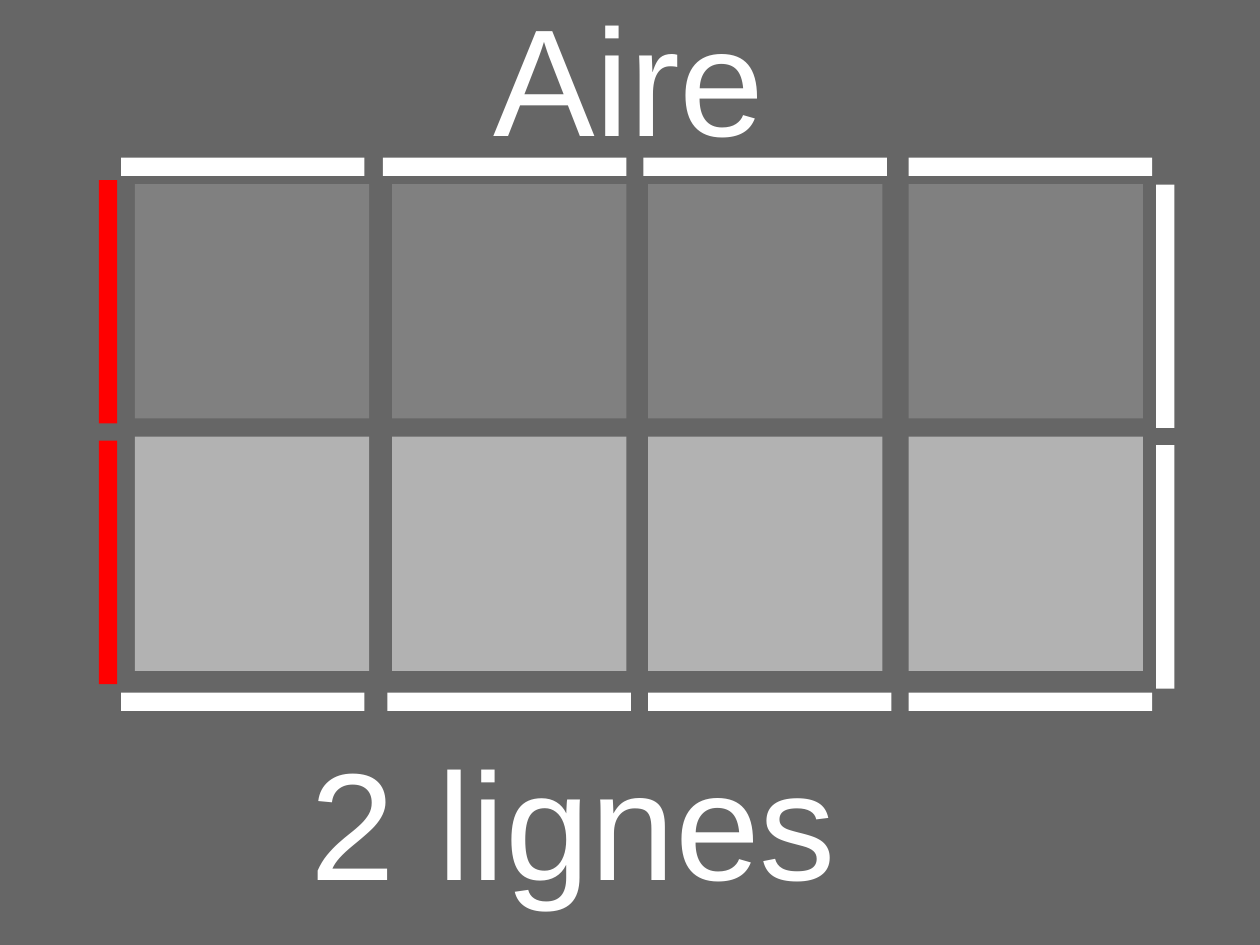
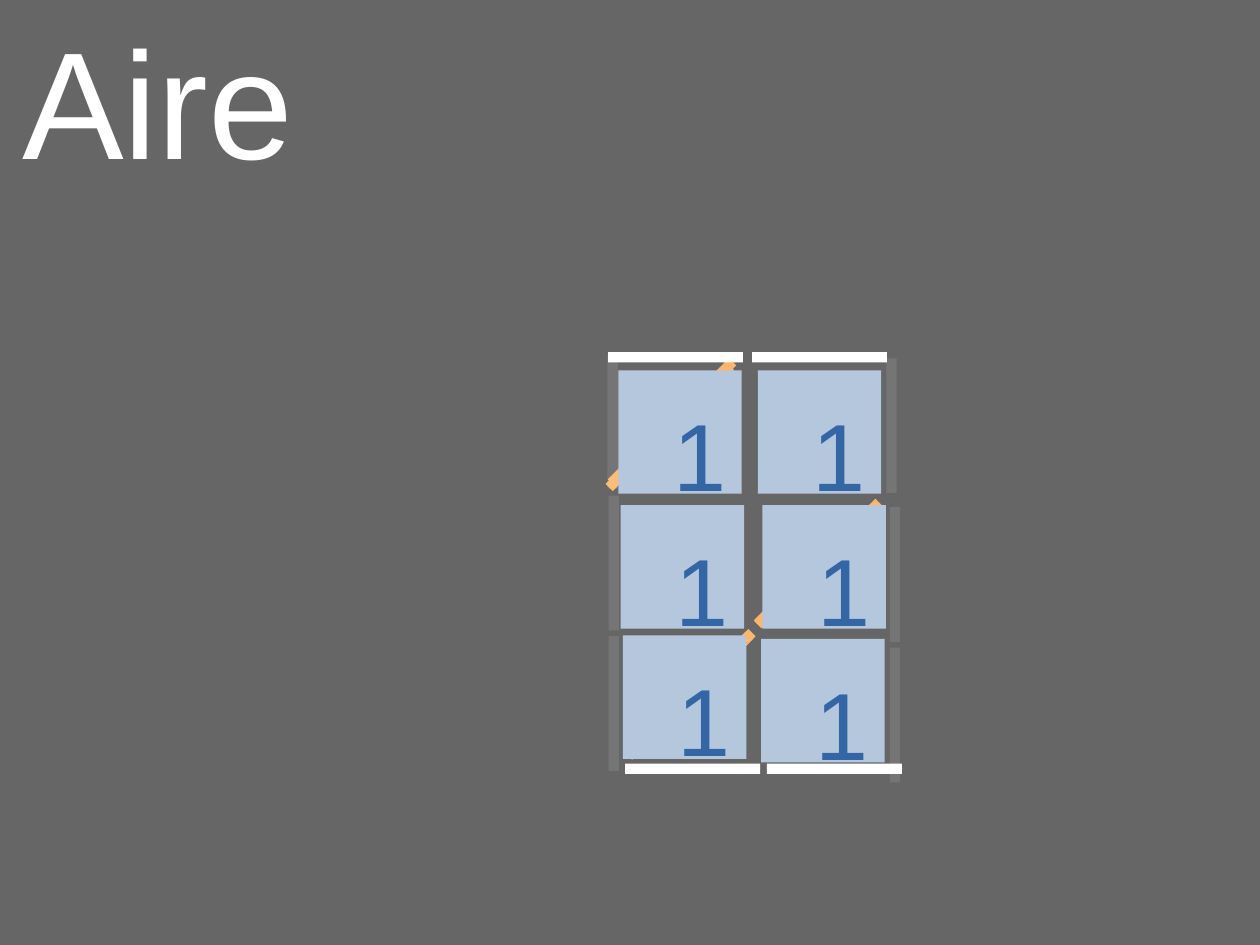
"""Two slides on area: a grid of two rows, then a block of unit squares."""
from lxml import etree
from pptx import Presentation
from pptx import util as u
from pptx.dml.color import RGBColor
from pptx.enum import shapes, text
from pptx.oxml.ns import qn
from pptx.util import Inches

WHITE, RED, ORANGE, GREY = "FFFFFF", "FF0000", "FFB66C", "666666"
TILE, DIGIT = "B4C7DC", "3465A4"


def rect(parent, x, y, w, h, color, rot=0, alpha=None):
    sp = parent.shapes.add_shape(shapes.MSO_SHAPE.RECTANGLE,
                                 Inches(x), Inches(y), Inches(w), Inches(h))
    sp.shadow.inherit = False
    sp.line.fill.background()
    sp.fill.solid()
    sp.fill.fore_color.rgb = RGBColor.from_string(color)
    sp.rotation = rot
    if alpha is not None:
        clr = sp.fill._xPr.find(qn("a:solidFill"))[0]
        etree.SubElement(clr, qn("a:alpha")).set("val", str(alpha * 1000))


def write(sp, x, y, w, h, words, size, color, align, inset=(0, 0),
          anchor=text.MSO_ANCHOR.MIDDLE):
    sp.left, sp.top, sp.width, sp.height = map(Inches, (x, y, w, h))
    tf = sp.text_frame
    tf.word_wrap = True
    tf.auto_size = text.MSO_AUTO_SIZE.SHAPE_TO_FIT_TEXT
    tf.vertical_anchor = anchor
    tf.margin_left = tf.margin_right = Inches(inset[0])
    tf.margin_top = tf.margin_bottom = Inches(inset[1])
    p = tf.paragraphs[0]
    p.text = words
    p.alignment = align
    p.font.size = u.Pt(size)
    p.font.name = "Arial"
    p.font.color.rgb = RGBColor.from_string(color)


LEFT, CENTER = text.PP_ALIGN.LEFT, text.PP_ALIGN.CENTER

prs = Presentation()
prs.slide_width, prs.slide_height = u.Cm(28), u.Cm(21)
bg = prs.slide_master.background.fill
bg.solid()
bg.fore_color.rgb = RGBColor.from_string(GREY)
title_only = prs.slide_layouts[5]

s = prs.slides.add_slide(title_only)
write(s.shapes.title, 2.35, -0.2, 6.31, 1.73, "Aire", 96, WHITE, CENTER)
for y, lefts in ((1.38, (1.06, 3.35, 5.63, 7.95)), (6.06, (1.06, 3.39, 5.67, 7.95))):
    for x in lefts:
        rect(s, x, y, 2.13, 0.16, WHITE)
for x, tops, color, rot in ((9.13, (2.6, 4.88), WHITE, 90),
                            (-0.12, (2.56, 4.84), RED, 270)):
    for y in tops:
        rect(s, x, y, 2.13, 0.16, color, rot)
caption = s.shapes.add_textbox(0, 0, 0, 0)
write(caption, 2.72, 5.68, 8.35, 2.98, "2 lignes", 96, WHITE, LEFT)
for y, color in ((1.61, "808080"), (3.82, "B2B2B2")):
    for x in (1.18, 3.43, 5.67, 7.95):
        rect(s, x, y, 2.05, 2.05, color)

s = prs.slides.add_slide(title_only)
write(s.shapes.title, 0.16, 0, 2.44, 1.73, "Aire", 96, WHITE, CENTER)
for x, y in ((5.13, 3.65), (6.41, 4.88), (5.28, 6.04),
             (6.41, 4.89), (5.3, 6.02), (5.11, 3.69)):
    rect(s, x, y, 1.5, 0.09, ORANGE, 315)
for x, y in ((5.32, 3.08), (6.58, 3.08), (5.47, 6.68), (6.71, 6.68)):
    rect(s, x, y, 1.18, 0.09, WHITE)
for x, y in ((4.77, 3.64), (4.78, 4.88), (4.78, 6.11),
             (7.21, 3.68), (7.24, 4.98), (7.24, 6.21)):
    rect(s, x, y, 1.18, 0.09, WHITE, 270, 10)
for x, y in ((5.41, 3.24), (6.63, 3.24), (5.43, 4.42),
             (6.67, 4.42), (5.45, 5.56), (6.66, 5.59)):
    unit = s.shapes.add_group_shape()
    rect(unit, x, y, 1.08, 1.08, TILE)
    digit = unit.shapes.add_textbox(Inches(x + 0.38), Inches(y + 0.18),
                                    Inches(0.37), Inches(1.03))
    write(digit, x + 0.38, y + 0.18, 0.37, 1.03, "1", 60, DIGIT, LEFT,
          (0.1, 0.05), text.MSO_ANCHOR.TOP)

prs.save("out.pptx")
